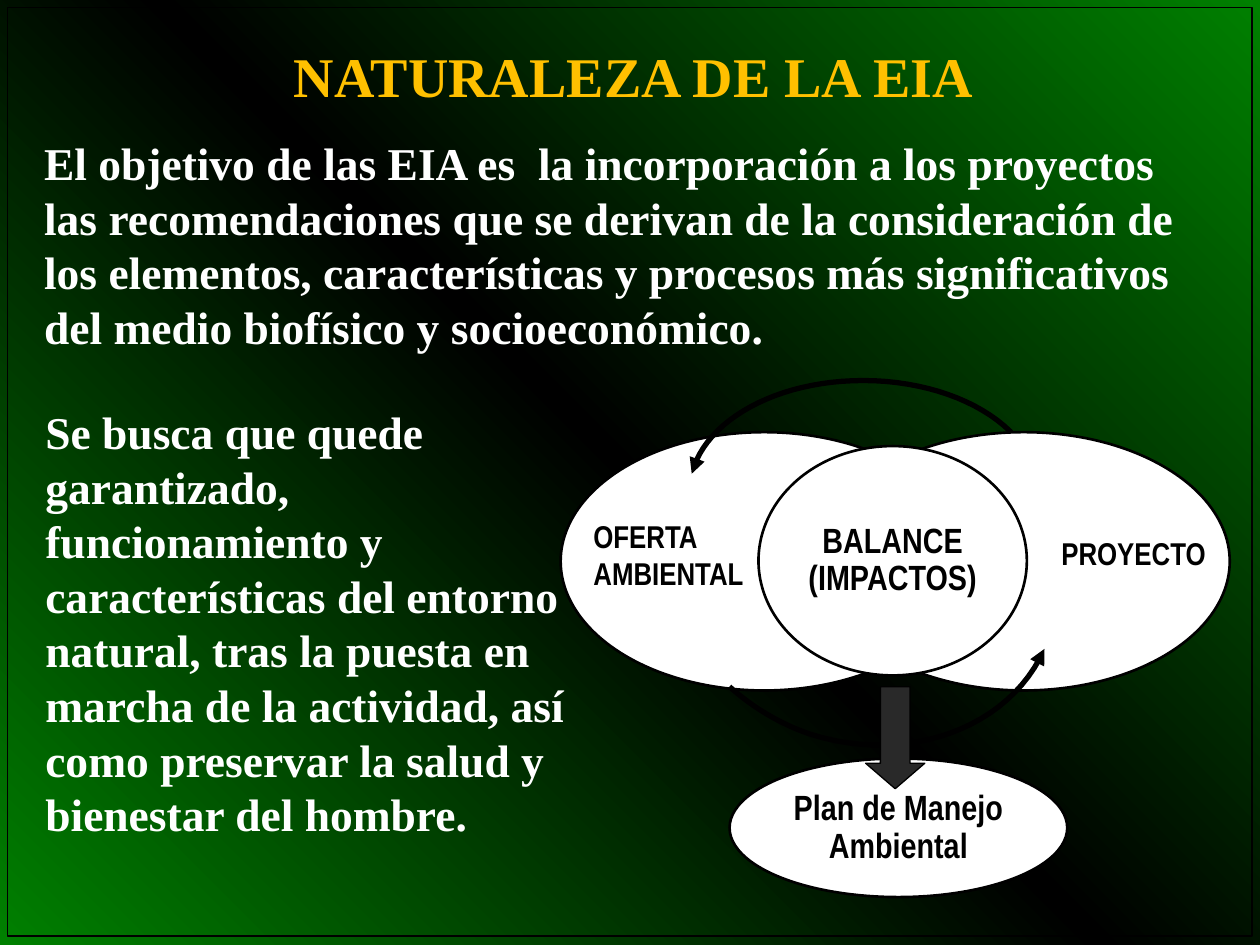
from copy import deepcopy
from dataclasses import dataclass

from lxml import etree
from pptx import Presentation
from pptx import util as u
from pptx.dml.color import RGBColor
from pptx.enum import shapes, text
from pptx.oxml import ns

COLUMNS, ROWS = 100, 75
DECK_WIDTH, DECK_HEIGHT = u.Inches(10), u.Inches(7.5)

GREEN = RGBColor(0x00, 0x80, 0x00)
BLACK = RGBColor(0x00, 0x00, 0x00)
WHITE = RGBColor(0xFF, 0xFF, 0xFF)
GOLD = RGBColor(0xFF, 0xC0, 0x00)
CHARCOAL = RGBColor(0x29, 0x29, 0x29)

SERIF = "Times New Roman"
NARROW = "Arial Narrow"
LEFT, CENTER, RIGHT = text.PP_ALIGN.LEFT, text.PP_ALIGN.CENTER, text.PP_ALIGN.RIGHT
TOP, MIDDLE = text.MSO_ANCHOR.TOP, text.MSO_ANCHOR.MIDDLE
Point = tuple[float, float]


@dataclass(frozen=True)
class Area:
    column: float
    row: float
    columns: float
    rows: float

    def lengths(self) -> tuple[int, int, int, int]:
        return (across(self.column), down(self.row),
                across(self.columns), down(self.rows))


@dataclass(frozen=True)
class Label:
    area: Area
    wording: str
    size: float
    font: str
    color: RGBColor
    align: text.PP_ALIGN = LEFT
    anchor: text.MSO_ANCHOR = MIDDLE


@dataclass(frozen=True)
class Oval:
    area: Area
    wording: str = ""


@dataclass(frozen=True)
class Arc:
    start: Point
    curves: tuple[tuple[Point, Point, Point], ...]


TEXTS = (
    Label(Area(3.5, 10.7, 92.9, 17.4),
          "El objetivo de las EIA es  la incorporación a los proyectos las "
          "recomendaciones que se derivan de la consideración de los elementos, "
          "características y procesos más significativos del medio biofísico y "
          "socioeconómico.", 26, SERIF, WHITE),
    Label(Area(21.7, 3, 57.2, 6), "NATURALEZA DE LA EIA", 32, SERIF, GOLD, CENTER),
    Label(Area(3.6, 31.9, 41.9, 35),
          "Se busca que quede garantizado, funcionamiento y características del "
          "entorno natural, tras la puesta en marcha de la actividad, así como "
          "preservar la salud y bienestar del hombre.", 26, SERIF, WHITE),
)
FRAME = Area(0.6, 0.6, 98.8, 73.7)
PLAN = Oval(Area(57.9, 60.2, 26.8, 11), "Plan de Manejo Ambiental")
SUPPLY = Oval(Area(44.5, 34.3, 32.3, 20.5))
PROJECT = Oval(Area(64.9, 34.3, 32.7, 20.5))
BALANCE = Oval(Area(60.2, 35.4, 21.3, 18.2), "BALANCE (IMPACTOS)")
SUPPLY_LABEL = Label(Area(47.1, 41, 13.4, 6), "OFERTA AMBIENTAL",
                     18, NARROW, BLACK, LEFT, TOP)
PROJECT_LABEL = Label(Area(82.3, 42.4, 13.4, 3), "PROYECTO",
                      18, NARROW, BLACK, RIGHT, TOP)
UPPER_ARC = Arc((82.3, 38.4), (
    ((81.9, 33.8), (75.8, 30.2), (68.5, 30.2)),
    ((61.7, 30.2), (56, 33.3), (54.9, 37.6)),
))
LOWER_ARC = Arc((57.9, 54.5), (
    ((59.8, 56.2), (62, 57.5), (64.4, 58.3)),
    ((72.1, 60.7), (80.1, 57.8), (82.9, 51.5)),
))
PLAN_ARROW = Area(68.7, 54.5, 4.7, 8.1)


def across(columns: float) -> int:
    return round(DECK_WIDTH * columns / COLUMNS)


def down(rows: float) -> int:
    return round(DECK_HEIGHT * rows / ROWS)


def paint_background(page) -> None:
    fill = page.background.fill
    fill.gradient()
    fill.gradient_angle = 45
    stop_list = page.element.find(".//" + ns.qn("a:gsLst"))
    stop_list.insert(1, deepcopy(stop_list[0]))
    for stop, color, position in zip(fill.gradient_stops, (GREEN, BLACK, GREEN), (0, 0.5, 1)):
        stop.color.rgb = color
        stop.position = position


def write(frame, wording: str, *, size: float, font: str, color: RGBColor,
          align=LEFT, anchor=MIDDLE, spacing=None, inset: float = 0) -> None:
    frame.word_wrap = True
    frame.vertical_anchor = anchor
    frame.margin_left = frame.margin_right = 0
    frame.margin_top = frame.margin_bottom = u.Inches(inset)
    para = frame.paragraphs[0]
    para.alignment = align
    para.line_spacing = spacing
    span = para.add_run()
    span.text = wording
    span.font.size = u.Pt(size)
    span.font.name = font
    span.font.bold = True
    span.font.color.rgb = color


def add_label(page, label: Label) -> None:
    box = page.shapes.add_textbox(*label.area.lengths())
    write(box.text_frame, label.wording, size=label.size, font=label.font,
          color=label.color, align=label.align, anchor=label.anchor)
    box.text_frame.auto_size = text.MSO_AUTO_SIZE.SHAPE_TO_FIT_TEXT


def style(shape, fill: RGBColor | None, weight: float) -> None:
    shape.shadow.inherit = False
    if fill is None:
        shape.fill.background()
    else:
        shape.fill.solid()
        shape.fill.fore_color.rgb = fill
    shape.line.color.rgb = BLACK
    shape.line.width = u.Pt(weight)


def add_preset(page, kind: shapes.MSO_SHAPE, area: Area,
               fill: RGBColor | None, weight: float):
    shape = page.shapes.add_shape(kind, *area.lengths())
    style(shape, fill, weight)
    return shape


def add_oval(page, oval: Oval) -> None:
    shape = add_preset(page, shapes.MSO_SHAPE.OVAL, oval.area, WHITE, 1.5)
    if oval.wording:
        write(shape.text_frame, oval.wording, size=20, font=NARROW, color=BLACK,
              align=CENTER, spacing=0.9, inset=0.05)


def bezier(points: tuple[Point, ...], share: float) -> Point:
    rest = 1 - share
    weights = (rest ** 3, 3 * rest ** 2 * share, 3 * rest * share ** 2, share ** 3)
    x, y = (sum(w * p[axis] for w, p in zip(weights, points)) for axis in (0, 1))
    return across(x), down(y)


def add_arc(page, arc: Arc, steps: int = 24) -> None:
    start = arc.start
    track = []
    for curve in arc.curves:
        track += [bezier((start, *curve), step / steps) for step in range(1, steps + 1)]
        start = curve[-1]
    builder = page.shapes.build_freeform(across(arc.start[0]), down(arc.start[1]))
    builder.add_line_segments(track, close=False)
    shape = builder.convert_to_shape()
    style(shape, None, 3)
    outline = shape.element.find(".//" + ns.qn("a:ln"))
    etree.SubElement(outline, ns.qn("a:tailEnd"), type="triangle")


def main() -> None:
    deck = Presentation()
    deck.slide_width, deck.slide_height = DECK_WIDTH, DECK_HEIGHT
    page = deck.slides.add_slide(deck.slide_layouts[6])
    paint_background(page)
    for label in TEXTS:
        add_label(page, label)
    add_preset(page, shapes.MSO_SHAPE.RECTANGLE, FRAME, None, 1)
    add_oval(page, PLAN)
    add_oval(page, SUPPLY)
    add_label(page, SUPPLY_LABEL)
    add_arc(page, UPPER_ARC)
    add_oval(page, PROJECT)
    add_oval(page, BALANCE)
    add_label(page, PROJECT_LABEL)
    add_arc(page, LOWER_ARC)
    arrow = add_preset(page, shapes.MSO_SHAPE.DOWN_ARROW, PLAN_ARROW, CHARCOAL, 0.75)
    arrow.adjustments[1] = 0.43
    deck.save("out.pptx")


if __name__ == "__main__":
    main()
